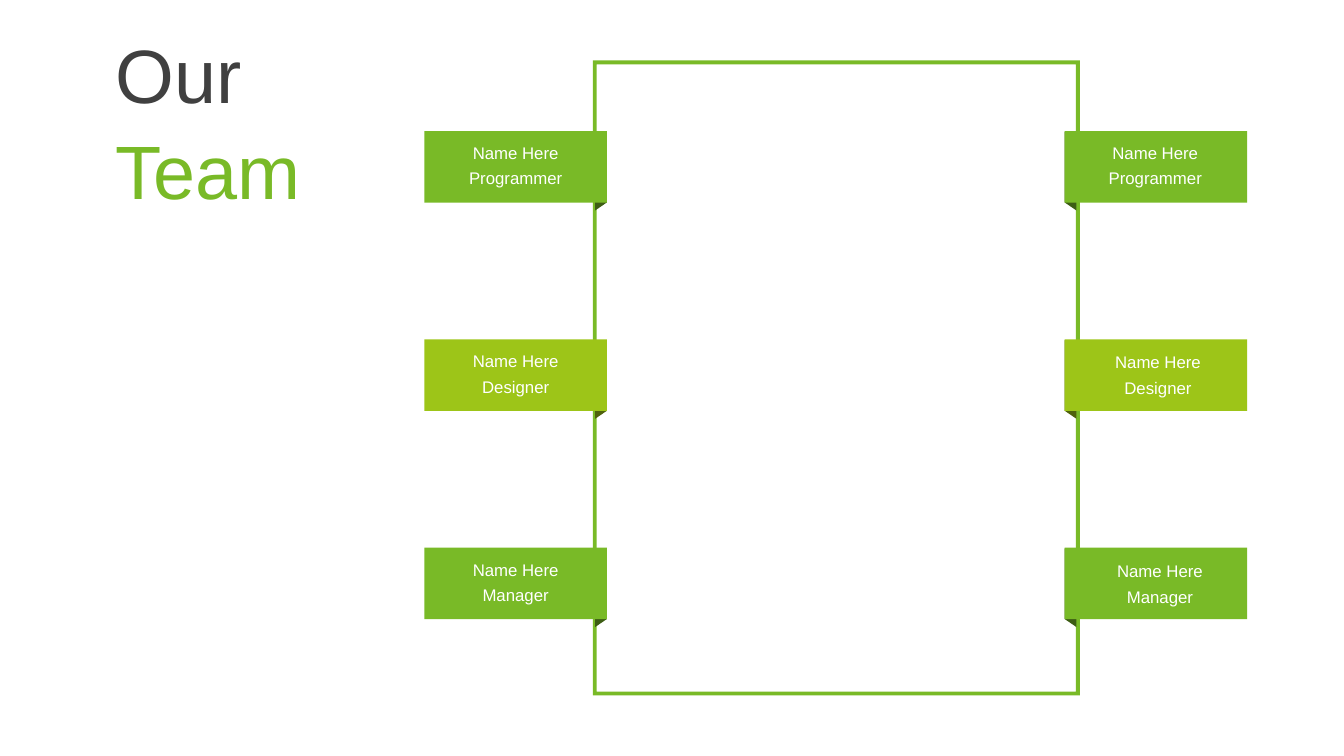
from dataclasses import dataclass

from pptx import Presentation
from pptx.dml.color import RGBColor as Color
from pptx.enum.shapes import MSO_SHAPE as Shape
from pptx.enum.text import MSO_ANCHOR as Anchor, PP_ALIGN as Align
from pptx.util import Inches, Pt

GREEN = Color(0x79, 0xBA, 0x27)
LIME = Color(0x9D, 0xC5, 0x18)
MOSS = Color(0x3D, 0x5D, 0x14)
OLIVE = Color(0x4F, 0x62, 0x0C)
GREY = Color(0x40, 0x40, 0x40)
WHITE = Color(0xFF, 0xFF, 0xFF)

WIDE, HIGH = Inches(13.33), Inches(7.5)

LEFT, RIGHT = 31.58, 79.22
TOP, PITCH = 17.35, 27.55
TAG_W, TAG_H = 13.58, 9.47
FOLD_W, FOLD_H, SLANT = 0.88, 10.4, 1.07
TEXT_W, TEXT_H, TEXT_STEP = 12.68, 3.6, 3.35


@dataclass
class Tag:
    left: float
    row: int
    role: str
    inset: float
    drop: float


TAGS = [
    Tag(LEFT, 0, "Programmer", 0.45, 1.07),
    Tag(LEFT, 1, "Designer", 0.45, 1.07),
    Tag(LEFT, 2, "Manager", 0.45, 1.07),
    Tag(RIGHT, 0, "Programmer", 0.4, 1.07),
    Tag(RIGHT, 1, "Designer", 0.6, 1.2),
    Tag(RIGHT, 2, "Manager", 0.75, 1.3),
]


def across(share: float) -> int:
    return round(WIDE * share / 100)


def down(share: float) -> int:
    return round(HIGH * share / 100)


def place(x: float, y: float, w: float, h: float) -> tuple[int, int, int, int]:
    return across(x), down(y), across(w), down(h)


def paint(shape, tint: Color) -> None:
    shape.shadow.inherit = False
    shape.fill.solid()
    shape.fill.fore_color.rgb = tint
    shape.line.fill.background()


def style(line, size: int, tint: Color) -> None:
    for run in line.runs:
        run.font.name = "Arial"
        run.font.size = Pt(size)
        run.font.color.rgb = tint


def add_frame(slide) -> None:
    frame = slide.shapes.add_shape(Shape.FRAME, *place(44.11, 8, 36.23, 84))
    frame.adjustments[0] = 0.008
    paint(frame, GREEN)


def add_title(slide) -> None:
    body = slide.shapes.add_textbox(*place(7.88, 3.73, 25.13, 26.13)).text_frame
    body.word_wrap = True
    body.vertical_anchor = Anchor.MIDDLE
    body.text = "Our\nTeam"
    for line, tint in zip(body.paragraphs, (GREY, GREEN)):
        line.line_spacing = 0.9
        style(line, 54, tint)
    body.paragraphs[1].space_before = Pt(10)


def add_fold(slide, tag: Tag, top: float, tint: Color) -> None:
    if tag.left == LEFT:
        edge = LEFT + TAG_W
        back = edge - FOLD_W
    else:
        edge = RIGHT
        back = edge + FOLD_W
    spots = [
        (edge, top),
        (edge, top + FOLD_H - SLANT),
        (back, top + FOLD_H),
        (back, top + SLANT),
    ]
    first, *rest = [(across(x), down(y)) for x, y in spots]
    pen = slide.shapes.build_freeform(*first)
    pen.add_line_segments(rest, close=True)
    paint(pen.convert_to_shape(), tint)


def add_text(slide, text: str, x: float, y: float) -> None:
    body = slide.shapes.add_textbox(*place(x, y, TEXT_W, TEXT_H)).text_frame
    body.word_wrap = True
    body.vertical_anchor = Anchor.MIDDLE
    body.text = text
    line = body.paragraphs[0]
    line.alignment = Align.CENTER
    style(line, 12, WHITE)


def add_tag(slide, tag: Tag) -> None:
    top = TOP + tag.row * PITCH
    tint, shade = (LIME, OLIVE) if tag.row == 1 else (GREEN, MOSS)
    add_fold(slide, tag, top + 0.1, shade)
    spot = place(tag.left, top, TAG_W, TAG_H)
    paint(slide.shapes.add_shape(Shape.RECTANGLE, *spot), tint)
    for step, text in enumerate(("Name Here", tag.role)):
        y = top + tag.drop + step * TEXT_STEP
        add_text(slide, text, tag.left + tag.inset, y)


def main() -> None:
    deck = Presentation()
    deck.slide_width, deck.slide_height = WIDE, HIGH
    slide = deck.slides.add_slide(deck.slide_layouts[6])
    add_frame(slide)
    add_title(slide)
    for tag in TAGS:
        add_tag(slide, tag)
    deck.save("out.pptx")


if __name__ == "__main__":
    main()
